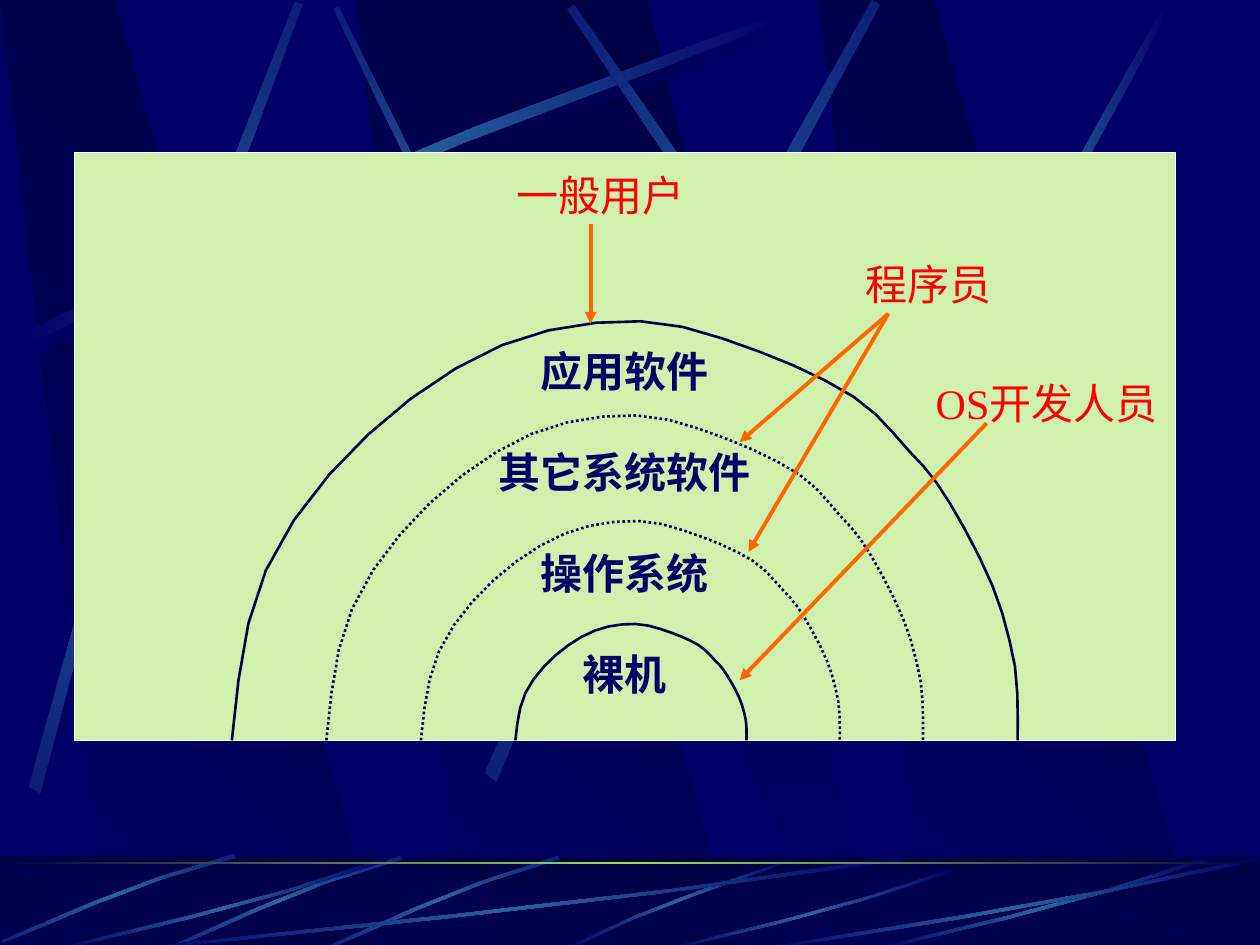
from typing import NamedTuple, Optional

from lxml.etree import SubElement
from pptx import Presentation
from pptx.dml.color import RGBColor
from pptx.enum.dml import MSO_LINE
from pptx.enum.shapes import MSO_CONNECTOR, MSO_SHAPE
from pptx.enum.text import MSO_ANCHOR, PP_ALIGN
from pptx.oxml.ns import qn
from pptx.util import Pt

NAVY = RGBColor(0x00, 0x00, 0x66)
MIDNIGHT = RGBColor(0x00, 0x00, 0x44)
STEEL = RGBColor(0x26, 0x63, 0xA0)
LIME = RGBColor(0x9C, 0xE1, 0x57)
PALE_GREEN = RGBColor(0xCF, 0xF1, 0xAD)
WHITE = RGBColor(0xFF, 0xFF, 0xFF)
ORANGE = RGBColor(0xFF, 0x66, 0x00)
RED = RGBColor(0xFF, 0x00, 0x00)
FONT = "Times New Roman"
WIDTH, HEIGHT = 720, 540
PANEL_BOTTOM = 423.1


class Box(NamedTuple):
    left: float
    top: float
    width: float
    height: float


class Streak(NamedTuple):
    box: Box
    rotation: float = 0
    flip_h: bool = False
    flip_v: bool = False
    glow: RGBColor = STEEL


class Layer(NamedTuple):
    name: str
    box: Box
    dash: Optional[MSO_LINE] = None


class Arrow(NamedTuple):
    start: tuple[float, float]
    end: tuple[float, float]


class Role(NamedTuple):
    name: str
    left: float
    top: float
    arrows: list[Arrow]


# Outlines in percent of their box
BAND = [(28.5, 100), (100, 100), (30.1, 0), (0, 0)]
WEDGE = [(0, 0), (90, 100), (100, 100), (50, 0)]
STREAK_UPPER = [(0, 96.25), (43.4, 43.1), (82.9, 15.2), (99.6, 0)]
STREAK_LOWER = [(100, 2.25), (83.4, 19.1), (38.4, 50), (0.4, 100)]

# Bezier control points of a layer's outline, in an area of ARC_SIZE
ARC_SIZE = (448.6, 240.5)
ARC = [
    (0, 240.5), (3.6, 205.9), (6.5, 172.1), (19.4, 143.3),
    (32.4, 113.8), (55.4, 86.4), (77.8, 65.5),
    (100.8, 43.9), (128.2, 25.2), (154.1, 14.4),
    (180, 3.6), (209.5, 0), (233.3, 0.7),
    (257.8, 1.4), (280.8, 10.8), (301, 18),
    (320.4, 25.2), (340.6, 34.6), (355, 43.9),
    (369.4, 53.3), (377.3, 64.8), (386.6, 74.9),
    (396, 84.2), (401.8, 91.4), (409.7, 104.4),
    (417.6, 117.4), (427.7, 136.1), (434.2, 151.9),
    (440.6, 167), (444.2, 183.6), (447.1, 198),
    (449.3, 213.1), (448.6, 231.8), (448.6, 240.5),
]

WALL_STREAKS = [
    Streak(Box(14.4, 13, 437.8, 192.2), glow=MIDNIGHT),
    Streak(Box(101.5, 97.2, 318.2, 126), 45, flip_h=True),
    Streak(Box(10.1, 7.2, 437.8, 192.2)),
    Streak(Box(-123.1, 131, 437.8, 192.2), 311.7),
    Streak(Box(166.3, 115.2, 449.3, 216.7), 321.6),
    Streak(Box(232.6, 109.4, 437.8, 192.2), 34.8, flip_h=True),
    Streak(Box(531.4, 0, 136.1, 285.8)),
]
FLOOR_STREAKS = [
    Streak(Box(322.6, 491, 129.6, 52.6)),
    Streak(Box(185.8, 486.7, 132.5, 59.8), 314.9, flip_h=True),
    Streak(Box(95.8, 486.7, 132.5, 59.8), 314.9, flip_h=True),
    Streak(Box(3.6, 483.1, 128.9, 61.2), 314.9, flip_h=True),
    *(Streak(Box(left, 543.6 - height, width, height), flip_h=True, flip_v=True)
      for left, width, height in [(72, 444.2, 54), (30.2, 192.2, 54), (379.4, 166.3, 47.5),
                                  (498.2, 192.2, 54), (432, 288, 54)]),
]
LAYERS = [
    Layer("应用软件", Box(132.5, 182.9, 449, PANEL_BOTTOM - 182.9)),
    Layer("其它系统软件", Box(186.5, 236.9, 340.9, PANEL_BOTTOM - 236.9), MSO_LINE.ROUND_DOT),
    Layer("操作系统", Box(240.5, 297.4, 239.4, PANEL_BOTTOM - 297.4), MSO_LINE.ROUND_DOT),
    Layer("裸机", Box(294.5, 356.4, 132.1, PANEL_BOTTOM - 356.4)),
]
ROLES = [
    Role("一般用户", 269.3, 94.3, [Arrow((337.5, 128.2), (337.5, 185))]),
    Role("程序员", 456.5, 145.4, [Arrow((507.6, 179.3), (422.6, 252.7)),
                               Arrow((507.6, 179.3), (427.7, 315.4))]),
    Role("OS开发人员", 524.2, 213.1, [Arrow((563.8, 241.9), (422.6, 388.8))]),
]


def curve_points(controls: list, steps: int) -> list:
    """Sample a chain of cubic Beziers: a start, then three points for each."""
    points = [controls[0]]
    for i in range(0, len(controls) - 1, 3):
        for step in range(1, steps + 1):
            t = step / steps
            weights = ((1 - t) ** 3, 3 * t * (1 - t) ** 2, 3 * t * t * (1 - t), t ** 3)
            points.append(tuple(sum(w * p[axis] for w, p in zip(weights, controls[i:i + 4]))
                                for axis in (0, 1)))
    return points


def add_outline(shapes, points: list, size: tuple, box: Box, close: bool = True):
    """Draw points, given in an area of the given size, stretched to the box."""
    placed = [(Pt(box.left + x / size[0] * box.width), Pt(box.top + y / size[1] * box.height))
              for x, y in points]
    builder = shapes.build_freeform(*placed[0])
    builder.add_line_segments(placed[1:], close=close)
    shape = builder.convert_to_shape()
    shape.shadow.inherit = False
    return shape


def add_rectangle(shapes, box: Box):
    shape = shapes.add_shape(MSO_SHAPE.RECTANGLE, *map(Pt, box))
    shape.shadow.inherit = False
    shape.line.fill.background()
    return shape


def fill_gradient(shape, colors: list[RGBColor], angle: float) -> None:
    """Spread colors evenly; angle runs counter-clockwise."""
    shape.line.fill.background()
    shape.fill.gradient()
    shape.fill.gradient_angle = angle
    stops = shape._element.spPr.find(qn("a:gradFill")).find(qn("a:gsLst"))
    for stop in list(stops):
        stops.remove(stop)
    for i, color in enumerate(colors):
        stop = SubElement(stops, qn("a:gs"), pos=str(100000 * i // (len(colors) - 1)))
        SubElement(stop, qn("a:srgbClr"), val=str(color))


def add_bands(shapes, top: float) -> None:
    height = HEIGHT - top
    for left in (203.8, 0, 468):
        band = add_outline(shapes, BAND, (100, 100), Box(left, top, 217.4, height))
        fill_gradient(band, [NAVY, MIDNIGHT], 45)
    wedge = add_outline(shapes, WEDGE, (100, 100), Box(239.8, top, 259.9, height))
    fill_gradient(wedge, [MIDNIGHT, NAVY], 270)


def add_streak(shapes, streak: Streak) -> None:
    outline = [(100 - x if streak.flip_h else x, 100 - y if streak.flip_v else y)
               for edge in (STREAK_UPPER, STREAK_LOWER) for x, y in curve_points(edge, 4)]
    shape = add_outline(shapes, outline, (100, 100), streak.box)
    shape.rotation = streak.rotation
    fill_gradient(shape, [NAVY, streak.glow, NAVY], 0)


def add_backdrop(shapes) -> None:
    add_bands(shapes, 0)
    for streak in WALL_STREAKS:
        add_streak(shapes, streak)
    floor = Box(0, 489.2, WIDTH, HEIGHT - 489.2)
    fill_gradient(add_rectangle(shapes, floor), [MIDNIGHT, NAVY], 270)
    add_bands(shapes, 495.4)
    shade = add_rectangle(shapes, floor)
    shade.fill.solid()
    shade.fill.fore_color.rgb = MIDNIGHT
    color = shade._element.spPr.find(qn("a:solidFill")).find(qn("a:srgbClr"))
    SubElement(color, qn("a:alpha"), val="50000")
    for streak in FLOOR_STREAKS:
        add_streak(shapes, streak)
    horizon = add_rectangle(shapes, Box(0, 492.4, WIDTH, 1.6))
    fill_gradient(horizon, [MIDNIGHT, LIME, MIDNIGHT], 0)


def write_line(paragraph, words: str, color: RGBColor, bold: bool = False) -> None:
    paragraph.alignment = PP_ALIGN.CENTER
    run = paragraph.add_run()
    run.text = words
    run.font.name, run.font.size, run.font.bold = FONT, Pt(24), bold
    run.font.color.rgb = color


def add_panel(shapes) -> None:
    panel = add_rectangle(shapes, Box(42.5, 87.1, 629.3, PANEL_BOTTOM - 87.1))
    panel.fill.solid()
    panel.fill.fore_color.rgb = PALE_GREEN
    panel.line.color.rgb, panel.line.width = WHITE, Pt(0.75)
    frame = panel.text_frame
    frame.word_wrap = False
    frame.vertical_anchor, frame.margin_bottom = MSO_ANCHOR.BOTTOM, Pt(24)
    for i, layer in enumerate(LAYERS):
        paragraph = frame.add_paragraph() if i else frame.paragraphs[0]
        paragraph.line_spacing = Pt(57.7)
        write_line(paragraph, layer.name, NAVY, bold=True)


def add_layer(shapes, layer: Layer) -> None:
    arc = add_outline(shapes, curve_points(ARC, 3), ARC_SIZE, layer.box, close=False)
    arc.fill.background()
    arc.line.color.rgb, arc.line.width = MIDNIGHT, Pt(1.5)
    if layer.dash:
        arc.line.dash_style = layer.dash


def add_role(shapes, role: Role) -> None:
    for arrow in role.arrows:
        line = shapes.add_connector(MSO_CONNECTOR.STRAIGHT, *map(Pt, arrow.start + arrow.end))
        line.line.color.rgb, line.line.width = ORANGE, Pt(2.25)
        SubElement(line.line._get_or_add_ln(), qn("a:tailEnd"), type="triangle")
        SubElement(line._element.spPr, qn("a:effectLst"))
    label = shapes.add_textbox(Pt(role.left), Pt(role.top), Pt(147.6), Pt(33.8))
    label.text_frame.word_wrap = False
    label.text_frame.vertical_anchor = MSO_ANCHOR.MIDDLE
    write_line(label.text_frame.paragraphs[0], role.name, RED)


def main() -> None:
    deck = Presentation()
    deck.slide_width, deck.slide_height = Pt(WIDTH), Pt(HEIGHT)
    layout = deck.slide_layouts[6]
    slide = deck.slides.add_slide(layout)
    layout.background.fill.solid()
    layout.background.fill.fore_color.rgb = NAVY
    add_backdrop(slide.shapes)
    for decoration in list(slide.shapes):  # the backdrop belongs to the layout
        layout.shapes._spTree.append(decoration._element)
    add_panel(slide.shapes)
    for layer in reversed(LAYERS):
        add_layer(slide.shapes, layer)
    for role in ROLES:
        add_role(slide.shapes, role)
    deck.save("out.pptx")


if __name__ == "__main__":
    main()
